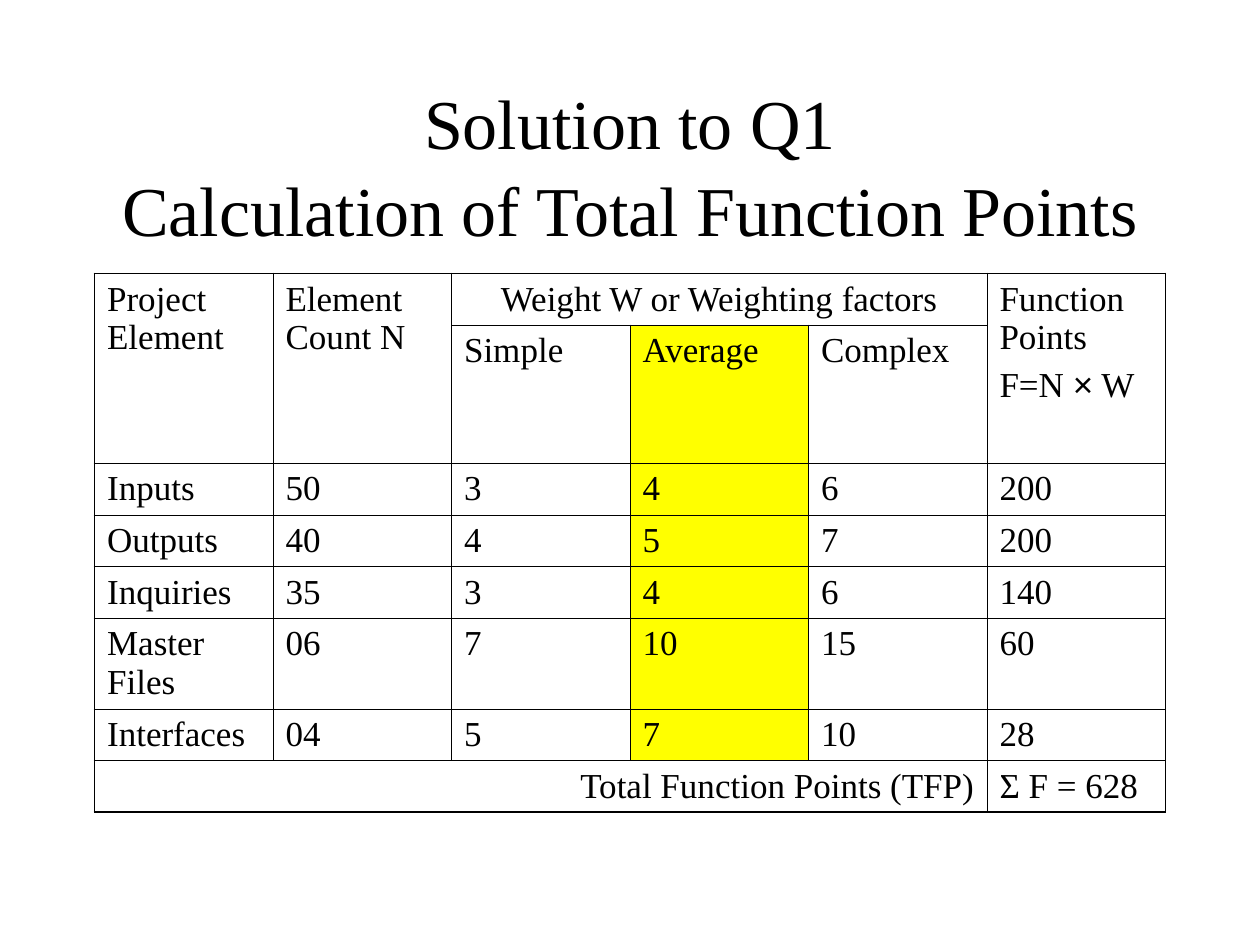
from lxml import etree
from pptx import Presentation
from pptx.dml.color import RGBColor
from pptx.enum.text import MSO_ANCHOR, MSO_AUTO_SIZE, PP_ALIGN
from pptx.oxml.ns import qn
from pptx.util import Inches, Pt

LEFT, CENTER, RIGHT = PP_ALIGN.LEFT, PP_ALIGN.CENTER, PP_ALIGN.RIGHT
MIDDLE, NO_FIT = MSO_ANCHOR.MIDDLE, MSO_AUTO_SIZE.NONE
COLORS = {"ink": "000000", "highlight": "FFFF00"}
FONT, SYMBOL_FONT = "Times New Roman", "Arial"
TITLE = "Solution to Q1\vCalculation of Total Function Points"
ROW_HEIGHTS = [0.41, 1.09, 0.41, 0.41, 0.41, 0.72, 0.41, 0.41]
AVERAGE_COL = 3
THIN, THICK = 0.45, 1.08
ROWS = [
    ["Project Element", "Element Count N", "Weight W or Weighting factors", "", "",
     "Function Points\nF=N × W"],
    ["", "", "Simple", "Average", "Complex", ""],
    ["Inputs", "50", "3", "4", "6", "200"],
    ["Outputs", "40", "4", "5", "7", "200"],
    ["Inquiries", "35", "3", "4", "6", "140"],
    ["Master Files", "06", "7", "10", "15", "60"],
    ["Interfaces", "04", "5", "7", "10", "28"],
    ["Total Function Points (TFP)", "", "", "", "", "Σ F = 628"],
]
MERGES = [((0, 0), (1, 0)), ((0, 1), (1, 1)), ((0, 2), (0, 4)),
          ((0, 5), (1, 5)), ((7, 0), (7, 4))]
ALIGNMENTS = {(0, 2): CENTER, (7, 0): RIGHT}


def color(name):
    """Return the named colour."""
    return RGBColor.from_string(COLORS[name])


def format_run(r, size, font=FONT):
    """Set the size, font and colour of a run."""
    r.font.size, r.font.name = Pt(size), font
    r.font.color.rgb = color("ink")


def add_title(prs, s):
    """Fill and place the title placeholder."""
    title = s.shapes.title
    title.left, title.top = int(prs.slide_width * 0.075), Inches(0.67)
    title.width, title.height = int(prs.slide_width * 0.85), Inches(1.25)
    tf = title.text_frame
    tf.text = TITLE
    tf.auto_size, tf.vertical_anchor, tf.word_wrap = NO_FIT, MIDDLE, True
    p = tf.paragraphs[0]
    p.alignment, p.line_spacing = CENTER, 1.04
    for r in p.runs:
        format_run(r, 40)


def write_cell(cell, text, alignment):
    """Write the paragraphs of a cell, with the times sign in its own font."""
    tf = cell.text_frame
    for i, line in enumerate(text.split("\n")):
        p = tf.add_paragraph() if i else tf.paragraphs[0]
        p.alignment = alignment
        p.space_before = Pt(5 * min(i, 1))
        before, sign, after = line.partition("×")
        for part in filter(None, (before, sign, after)):
            r = p.add_run()
            r.text = part
            format_run(r, 20, SYMBOL_FONT if part == "×" else FONT)


def set_borders(cell, widths):
    """Draw the left, right, top and bottom borders of a cell."""
    tc_pr = cell._tc.get_or_add_tcPr()
    for i, (side, width) in enumerate(widths.items()):
        ln = etree.Element(qn(f"a:ln{side}"), w=str(int(Pt(width))))
        fill = etree.SubElement(ln, qn("a:solidFill"))
        etree.SubElement(fill, qn("a:srgbClr"), val=COLORS["ink"])
        tc_pr.insert(i, ln)


def style_cell(cell, row, col):
    """Set the fill and borders that follow from the cell's place."""
    last_row, last_col = len(ROWS) - 1, len(ROWS[0]) - 1
    if col == AVERAGE_COL and 0 < row < last_row:
        cell.fill.solid()
        cell.fill.fore_color.rgb = color("highlight")
    else:
        cell.fill.background()
    outer = {"L": col == 0, "R": col == last_col, "T": row == 0, "B": row == last_row}
    set_borders(cell, {side: THICK if edge else THIN for side, edge in outer.items()})


def add_points_table(prs, s):
    """Add the function point table with its merged headings."""
    width = int(prs.slide_width * 0.85)
    table = s.shapes.add_table(len(ROWS), len(ROWS[0]), int(prs.slide_width * 0.075),
                               Inches(2.17), width, Inches(sum(ROW_HEIGHTS))).table
    table.first_row = table.horz_banding = False
    for column in table.columns:
        column.width = width // len(ROWS[0])
    for row, height in zip(table.rows, ROW_HEIGHTS):
        row.height = Inches(height)
    for start, end in MERGES:
        table.cell(*start).merge(table.cell(*end))
    for row, texts in enumerate(ROWS):
        for col, text in enumerate(texts):
            cell = table.cell(row, col)
            write_cell(cell, text, ALIGNMENTS.get((row, col), LEFT))
            style_cell(cell, row, col)


def main():
    """Build the slide and save it."""
    prs = Presentation()
    prs.slide_width, prs.slide_height = Inches(10), Inches(7.5)
    s = prs.slides.add_slide(prs.slide_layouts[5])
    add_title(prs, s)
    add_points_table(prs, s)
    prs.save("out.pptx")


if __name__ == "__main__":
    main()
